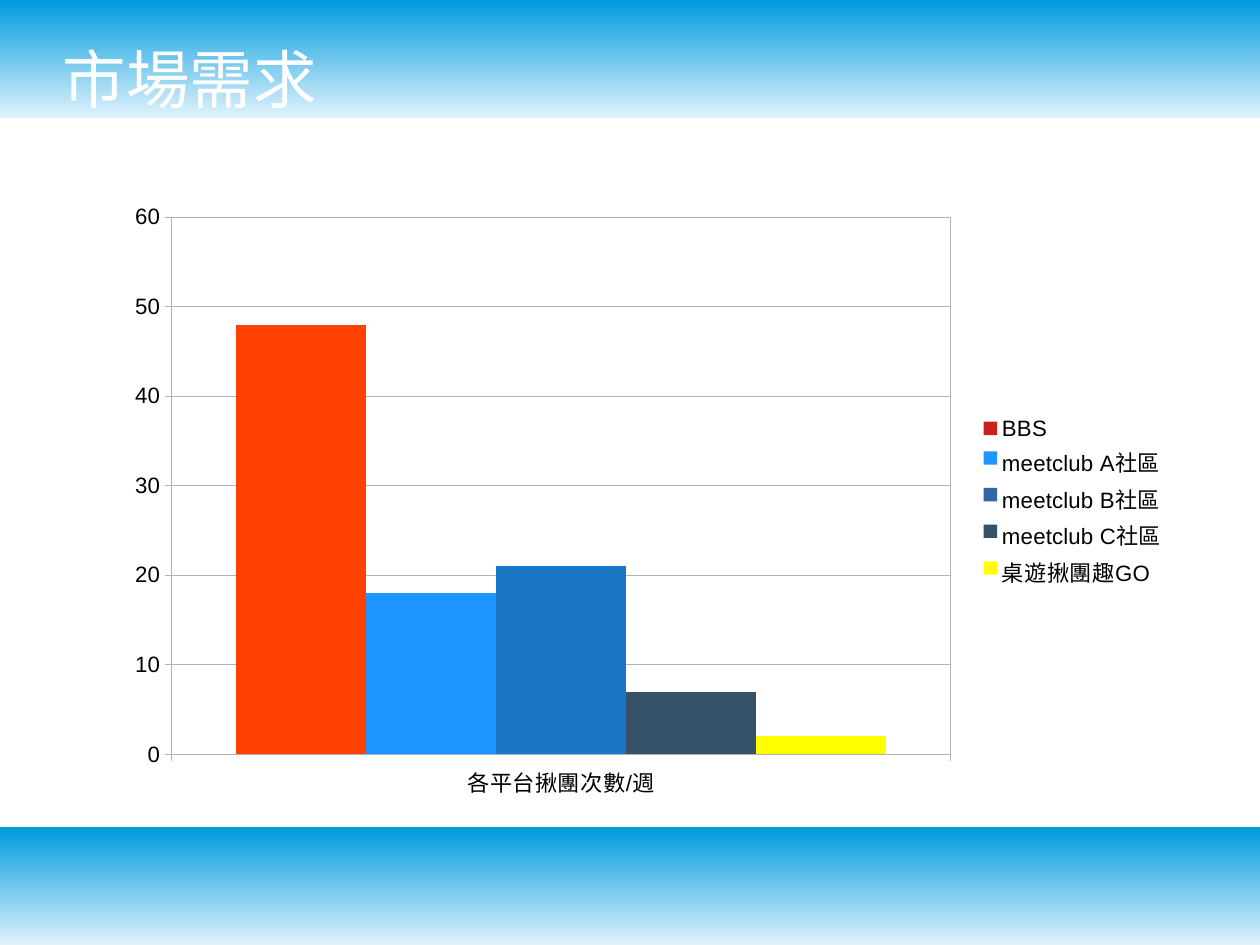
import pptx
import pptx.chart.data
import pptx.dml.color
import pptx.enum.chart
import pptx.enum.shapes
import pptx.enum.text
import pptx.oxml
import pptx.oxml.ns
import pptx.util

Inches = pptx.util.Inches

SLIDE_WIDTH, SLIDE_HEIGHT, BAND_HEIGHT = 28 / 2.54, 21 / 2.54, 1.03
FONT = "Arial"
GRID_GRAY = "B3B3B3"
CATEGORY = "各平台揪團次數/週"
PLATFORMS = [
    ("BBS", 48, "C9211E", "FF4000"),
    ("meetclub A社區", 18, "1F96FF", "1F96FF"),
    ("meetclub B社區", 21, "3465A4", "1A75C4"),
    ("meetclub C社區", 7, "355269", "355269"),
    ("桌遊揪團趣GO", 2, "FFFF00", "FFFF00"),
]
PLOT_LEFT, PLOT_TOP, PLOT_WIDTH, PLOT_HEIGHT = 0.51, 0.21, 6.82, 4.7


def rgb(color):
    return pptx.dml.color.RGBColor.from_string(color)


def apply_format(target, values):
    for name, value in values.items():
        setattr(target, name, value)


def style_font(font, size, color):
    apply_format(font, {"name": FONT, "size": pptx.util.Pt(size)})
    font.color.rgb = rgb(color)


def style_line(line):
    line.color.rgb = rgb(GRID_GRAY)
    line.width = pptx.util.Pt(0)


def paint(fill, color):
    fill.solid()
    fill.fore_color.rgb = rgb(color)


def add_band(slide, left, top, width, height):
    band = slide.shapes.add_shape(
        pptx.enum.shapes.MSO_SHAPE.RECTANGLE,
        Inches(left), Inches(top), Inches(width), Inches(height))
    band.shadow.inherit = False
    band.line.fill.background()
    band.fill.gradient()
    band.fill.gradient_angle = 90
    for stop, position, color in zip(band.fill.gradient_stops, (0, 1), ("DFF2FC", "009BDD")):
        stop.position = position
        stop.color.rgb = rgb(color)


def add_heading(slide, left, top, width, height):
    heading = slide.shapes.add_textbox(
        Inches(left), Inches(top), Inches(width), Inches(height)).text_frame
    apply_format(heading, {
        "word_wrap": True,
        "vertical_anchor": pptx.enum.text.MSO_ANCHOR.MIDDLE,
        "margin_left": 0, "margin_right": 0, "margin_top": 0, "margin_bottom": 0,
    })
    run = heading.paragraphs[0].add_run()
    run.text = "市場需求"
    style_font(run.font, 40, "FFFFFF")


def style_plot_area(chart, width, height):
    shares = {
        "x": PLOT_LEFT / width, "y": PLOT_TOP / height,
        "w": PLOT_WIDTH / width, "h": PLOT_HEIGHT / height,
    }
    places = "".join(f'<c:{side} val="{share}"/>' for side, share in shares.items())
    namespaces = pptx.oxml.ns.nsdecls("c", "a")
    layout = pptx.oxml.parse_xml(
        f'<c:layout {namespaces}><c:manualLayout><c:layoutTarget val="inner"/>'
        f'<c:xMode val="edge"/><c:yMode val="edge"/>{places}</c:manualLayout></c:layout>')
    border = pptx.oxml.parse_xml(
        f'<c:spPr {namespaces}><a:noFill/><a:ln w="0"><a:solidFill>'
        f'<a:srgbClr val="{GRID_GRAY}"/></a:solidFill></a:ln></c:spPr>')
    plot_area = chart._chartSpace.chart.plotArea
    for old_layout in plot_area.findall(pptx.oxml.ns.qn("c:layout")):
        plot_area.remove(old_layout)
    plot_area.insert(0, layout)
    plot_area.append(border)


def add_demand_chart(slide, left, top, width, height):
    demand = pptx.chart.data.CategoryChartData()
    demand.categories = [CATEGORY]
    for name, count, _, _ in PLATFORMS:
        demand.add_series(name, [count])
    chart = slide.shapes.add_chart(
        pptx.enum.chart.XL_CHART_TYPE.COLUMN_CLUSTERED,
        Inches(left), Inches(top), Inches(width), Inches(height), demand).chart
    apply_format(chart, {"has_title": False, "has_legend": True})
    style_font(chart.font, 10, "000000")
    apply_format(chart.legend, {
        "position": pptx.enum.chart.XL_LEGEND_POSITION.RIGHT,
        "include_in_layout": False,
    })
    style_font(chart.legend.font, 14, "000000")
    apply_format(chart.plots[0], {"gap_width": 100, "overlap": 0, "vary_by_categories": False})

    for series, (_, _, legend_color, bar_color) in zip(chart.plots[0].series, PLATFORMS):
        series.invert_if_negative = False
        paint(series.format.fill, legend_color)
        if bar_color != legend_color:
            paint(series.points[0].format.fill, bar_color)

    for axis in (chart.category_axis, chart.value_axis):
        axis.major_tick_mark = pptx.enum.chart.XL_TICK_MARK.OUTSIDE
        style_font(axis.tick_labels.font, 14, "000000")
        style_line(axis.format.line)
    apply_format(chart.value_axis, {
        "minimum_scale": 0, "maximum_scale": 60, "major_unit": 10,
        "has_major_gridlines": True,
    })
    style_line(chart.value_axis.major_gridlines.format.line)
    style_plot_area(chart, width, height)


def main():
    presentation = pptx.Presentation()
    apply_format(presentation, {
        "slide_width": Inches(SLIDE_WIDTH), "slide_height": Inches(SLIDE_HEIGHT)})
    slide = presentation.slides.add_slide(presentation.slide_layouts[6])
    for top in (0, SLIDE_HEIGHT - BAND_HEIGHT):
        add_band(slide, 0, top, SLIDE_WIDTH, BAND_HEIGHT)
    add_heading(slide, 0.55, 0.28, 9.92, 0.8)
    add_demand_chart(slide, 0.99, 1.69, 9.32, 5.4)
    presentation.save("out.pptx")


if __name__ == "__main__":
    main()
